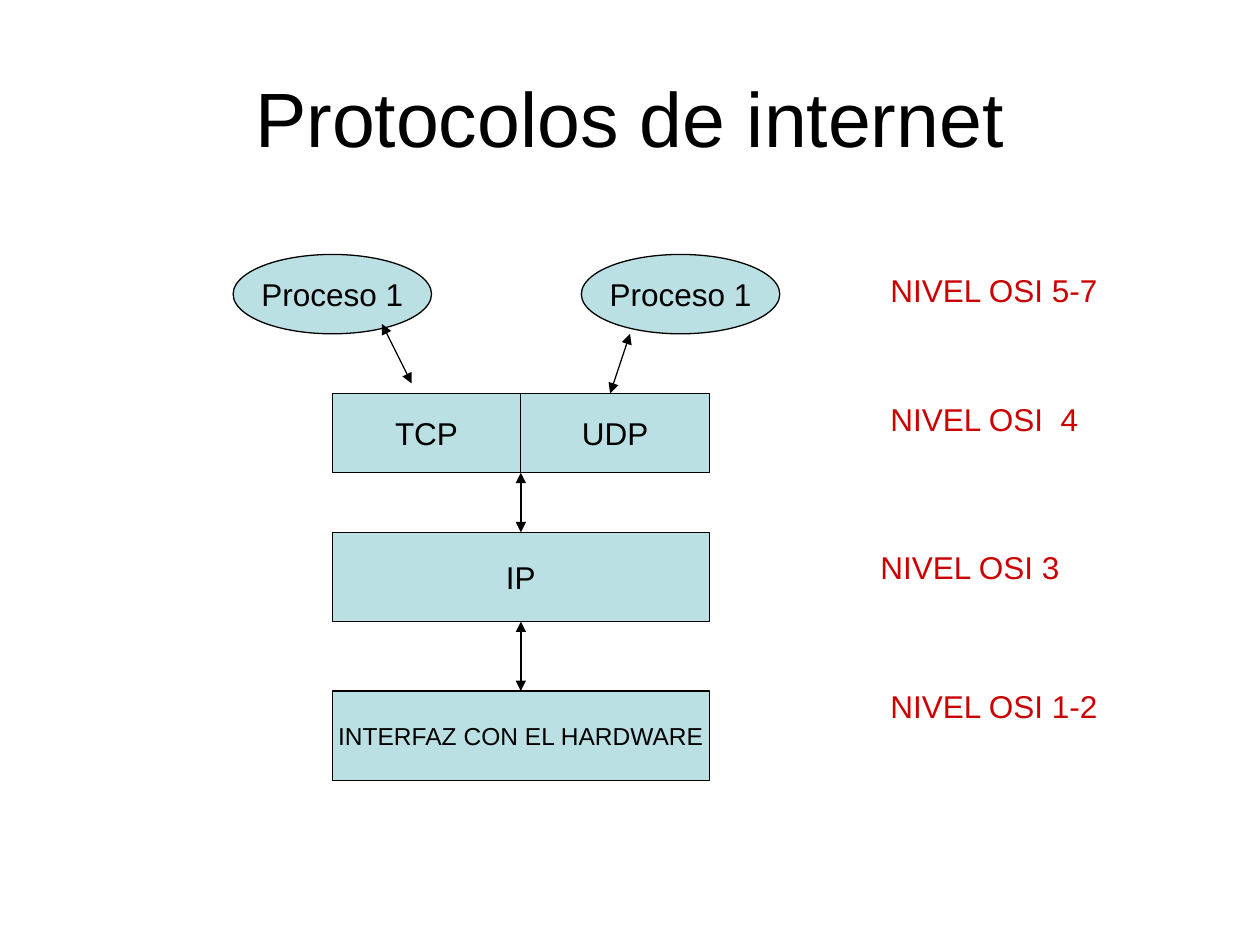
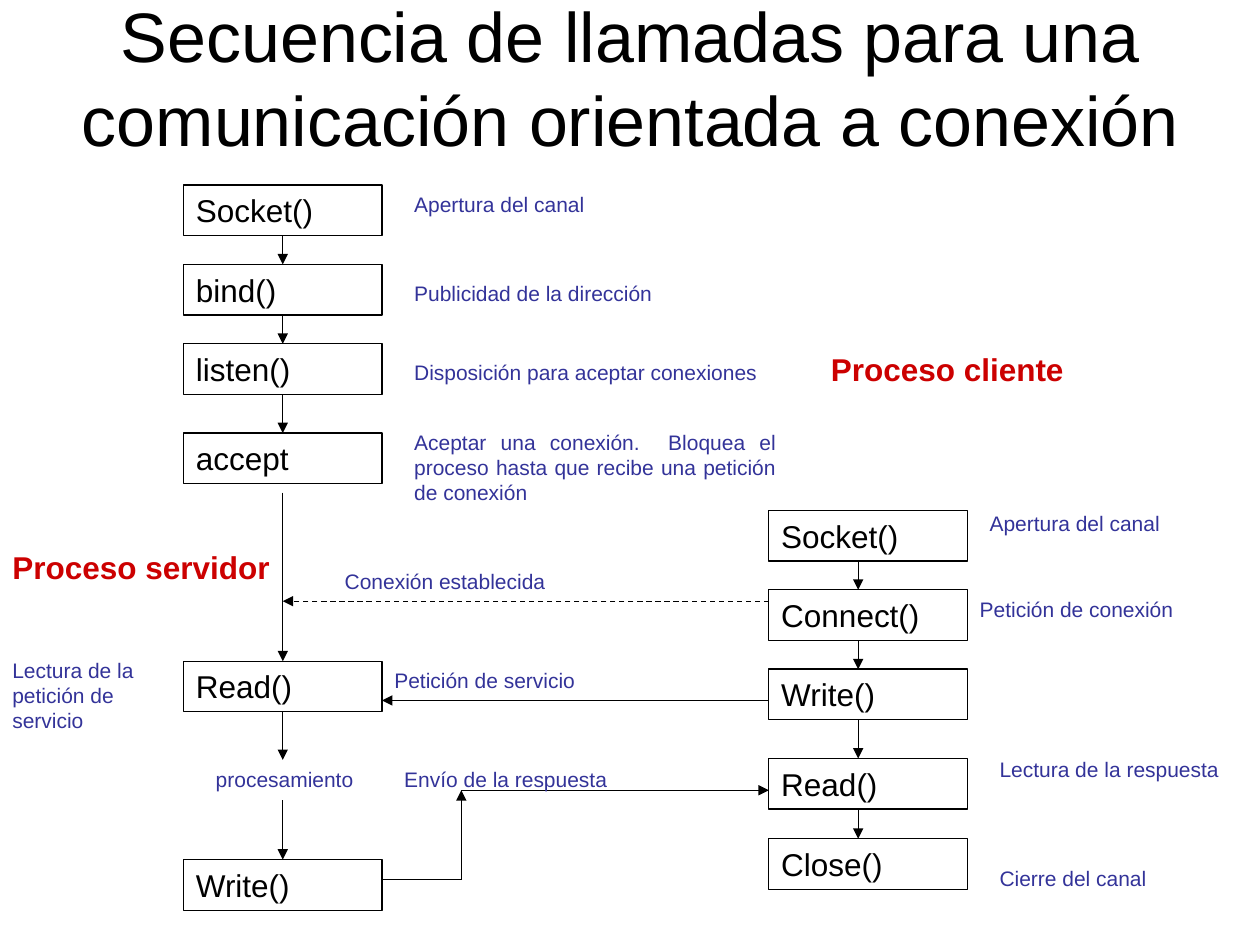
from itertools import pairwise

from lxml.etree import SubElement
from pptx import Presentation
from pptx.dml.color import RGBColor
from pptx.enum.dml import MSO_LINE_DASH_STYLE as Dash
from pptx.enum.shapes import MSO_AUTO_SHAPE_TYPE as Preset, MSO_CONNECTOR_TYPE as Link
from pptx.enum.text import MSO_ANCHOR as Anchor, MSO_AUTO_SIZE as AutoSize, PP_ALIGN as Align
from pptx.oxml.ns import qn
from pptx.util import Cm, Pt

FONT = "Arial"
BLACK, RED, BLUE, AQUA = "000000", "CC0000", "333399", "BBE0E3"
TOP, BOTTOM = 0, 2
TITLE_ONLY = 5
CALL_WIDTH, CALL_HEIGHT = 4, 1.02


def color(hex_code):
    return RGBColor.from_string(hex_code)


def is_point(end):
    return isinstance(end[0], (int, float))


class Deck:
    """Holds the presentation, its style and the slide being filled."""

    def __init__(self):
        self.prs = Presentation()
        self.prs.slide_width, self.prs.slide_height = Cm(25.4), Cm(19.05)
        self.slide = None

    def new_slide(self, title, height, size):
        self.slide = self.prs.slides.add_slide(self.prs.slide_layouts[TITLE_ONLY])
        heading = self.slide.shapes.title
        heading.left, heading.top = Cm(1.27), Cm(0.76)
        heading.width, heading.height = Cm(22.86), Cm(height)
        self.set_text(heading, title, size, align=Align.CENTER, anchor=Anchor.MIDDLE)

    def set_text(self, shape, text, size, ink=BLACK, bold=False, align=Align.LEFT,
                 anchor=Anchor.TOP, wrap=True, before=0, fit=AutoSize.NONE):
        frame = shape.text_frame
        frame.text = text
        frame.word_wrap, frame.auto_size, frame.vertical_anchor = wrap, fit, anchor
        paragraph = frame.paragraphs[0]
        paragraph.alignment, paragraph.space_before = align, Pt(before)
        font = paragraph.runs[0].font
        font.name, font.size, font.bold = FONT, Pt(size), bold
        font.color.rgb = color(ink)

    def outlined(self, preset, left, top, width, height):
        shape = self.slide.shapes.add_shape(preset, Cm(left), Cm(top), Cm(width), Cm(height))
        shape.shadow.inherit = False
        shape.line.color.rgb, shape.line.width = color(BLACK), Pt(0.75)
        return shape

    def block(self, text, left, top, width, height, size=18, preset=Preset.RECTANGLE):
        """Filled shape with centred text."""
        shape = self.outlined(preset, left, top, width, height)
        shape.fill.solid()
        shape.fill.fore_color.rgb = color(AQUA)
        self.set_text(shape, text, size, align=Align.CENTER, anchor=Anchor.MIDDLE, wrap=False)
        return shape

    def call_box(self, text, left, top):
        """Unfilled box naming one function call."""
        shape = self.outlined(Preset.RECTANGLE, left, top, CALL_WIDTH, CALL_HEIGHT)
        shape.fill.background()
        self.set_text(shape, text, 18, before=11.2, fit=AutoSize.SHAPE_TO_FIT_TEXT)
        return shape

    def label(self, text, left, top, width, height=1.02, size=18, ink=RED, **style):
        box = self.slide.shapes.add_textbox(Cm(left), Cm(top), Cm(width), Cm(height))
        self.set_text(box, text, size, ink, before=size * 0.625,
                      fit=AutoSize.SHAPE_TO_FIT_TEXT, **style)

    def note(self, text, left, top, width=7.8, height=0.76, **style):
        self.label(text, left, top, width, height, 12, BLUE, **style)

    def arrow(self, start, end, head=False, tail=True, dashed=False):
        """Line between two ends, each an (x, y) point or a (shape, side) joint."""
        points = [place if is_point(place) else (0, 0) for place in (start, end)]
        link = self.slide.shapes.add_connector(
            Link.STRAIGHT, *(Cm(value) for point in points for value in point))
        for place, connect in ((start, link.begin_connect), (end, link.end_connect)):
            if not is_point(place):
                connect(*place)
        link.line.color.rgb, link.line.width = color(BLACK), Pt(0.75)
        if dashed:
            link.line.dash_style = Dash.DASH
        properties = link.element.spPr
        outline = properties.find(qn("a:ln"))
        for wanted, tag in ((head, "a:headEnd"), (tail, "a:tailEnd")):
            if wanted:
                SubElement(outline, qn(tag), type="triangle")
        SubElement(properties, qn("a:effectLst"))


def add_protocols(deck):
    deck.new_slide("Protocolos de internet", 3.18, 44)
    for left in (4.7, 11.72):
        deck.block("Proceso 1", left, 5.13, 4, 1.6, preset=Preset.OVAL)
    stack_left, half = 6.7, 3.8
    middle = stack_left + half
    for column, transport in enumerate(("TCP", "UDP")):
        deck.block(transport, stack_left + column * half, 7.93, half, 1.6)
    network = deck.block("IP", stack_left, 10.73, 2 * half, 1.8)
    hardware = deck.block("INTERFAZ CON EL HARDWARE", stack_left, 13.93, 2 * half, 1.8, size=14)

    for level, left, top in (("NIVEL OSI 5-7", 17.7, 5.33), ("NIVEL OSI  4", 17.7, 7.93),
                             ("NIVEL OSI 3", 17.5, 10.93), ("NIVEL OSI 1-2", 17.7, 13.73)):
        deck.label(level, left, top, 5.4)

    for start, end in (((7.7, 6.53), (8.3, 7.73)),
                       ((12.7, 6.73), (12.3, 7.93)),
                       ((middle, 9.53), (network, TOP)),
                       ((network, BOTTOM), (hardware, TOP))):
        deck.arrow(start, end, head=True)


def add_call_sequence(deck):
    deck.new_slide("Secuencia de llamadas para una comunicación orientada a conexión", 1.55, 40)
    server_left, client_left = 3.7, 15.5
    server_axis, client_axis = server_left + CALL_WIDTH / 2, 17.3
    server_right = server_left + CALL_WIDTH

    server = [deck.call_box(name, server_left, top) for name, top in (
        ("Socket()", 3.73), ("bind()", 5.33), ("listen()", 6.93), ("accept", 8.73),
        ("Read()", 13.33), ("Write()", 17.33))]
    server_read, server_reply = server[4:]
    client_calls = (("Socket()", 10.29), ("Connect()", 11.89), ("Write()", 13.49),
                    ("Read()", 15.29), ("Close()", 16.91))
    for name, top in client_calls:
        deck.call_box(name, client_left, top)

    for upper, lower in pairwise(server[:4]):
        deck.arrow((upper, BOTTOM), (lower, TOP))
    deck.arrow((server_axis, 9.93), (server_read, TOP))
    deck.arrow((server_read, BOTTOM), (server_axis, 15.32))
    deck.arrow((server_axis, 16.13), (server_reply, TOP))
    for (_, upper), (_, lower) in pairwise(client_calls):
        deck.arrow((client_axis, upper + CALL_HEIGHT), (client_axis, lower))

    reply_x, reply_top, reply_bottom = 9.3, 15.93, 17.73
    deck.arrow((client_left, 12.12), (server_axis, 12.12), dashed=True)
    deck.arrow((client_left, 14.12), (server_right, 14.12))
    deck.arrow((server_right, reply_bottom), (reply_x, reply_bottom), tail=False)
    deck.arrow((reply_x, reply_bottom), (reply_x, reply_top))
    deck.arrow((reply_x, reply_top), (client_left, reply_top))

    for text, left, top in (("Apertura del canal", 8.1, 3.73),
                            ("Publicidad de la dirección", 8.1, 5.53),
                            ("Disposición para aceptar conexiones", 8.1, 7.13),
                            ("Conexión establecida", 6.7, 11.33),
                            ("Petición de servicio", 7.7, 13.33),
                            ("Envío de la respuesta", 7.9, 15.32)):
        deck.note(text, left, top)
    deck.note("Aceptar una conexión.  Bloquea el proceso hasta que recibe una petición de conexión",
              8.1, 8.53, height=1.78, align=Align.JUSTIFY)
    deck.note("Lectura de la petición de servicio", 0, 13.13, 3.7, 1.78)
    for text, left, top, width in (("procesamiento", 4.1, 15.32, 4),
                                   ("Apertura del canal", 19.7, 10.16, 4.8),
                                   ("Petición de conexión", 19.5, 11.91, 4.8),
                                   ("Lectura de la respuesta", 19.9, 15.12, 5.5),
                                   ("Cierre del canal", 19.9, 17.32, 3.7)):
        deck.note(text, left, top, width)

    deck.label("Proceso cliente", 16.5, 6.93, 8.2, bold=True)
    deck.label("Proceso servidor", 0, 10.93, 5.9, bold=True)


def main():
    deck = Deck()
    add_protocols(deck)
    add_call_sequence(deck)
    deck.prs.save("out.pptx")


if __name__ == "__main__":
    main()
